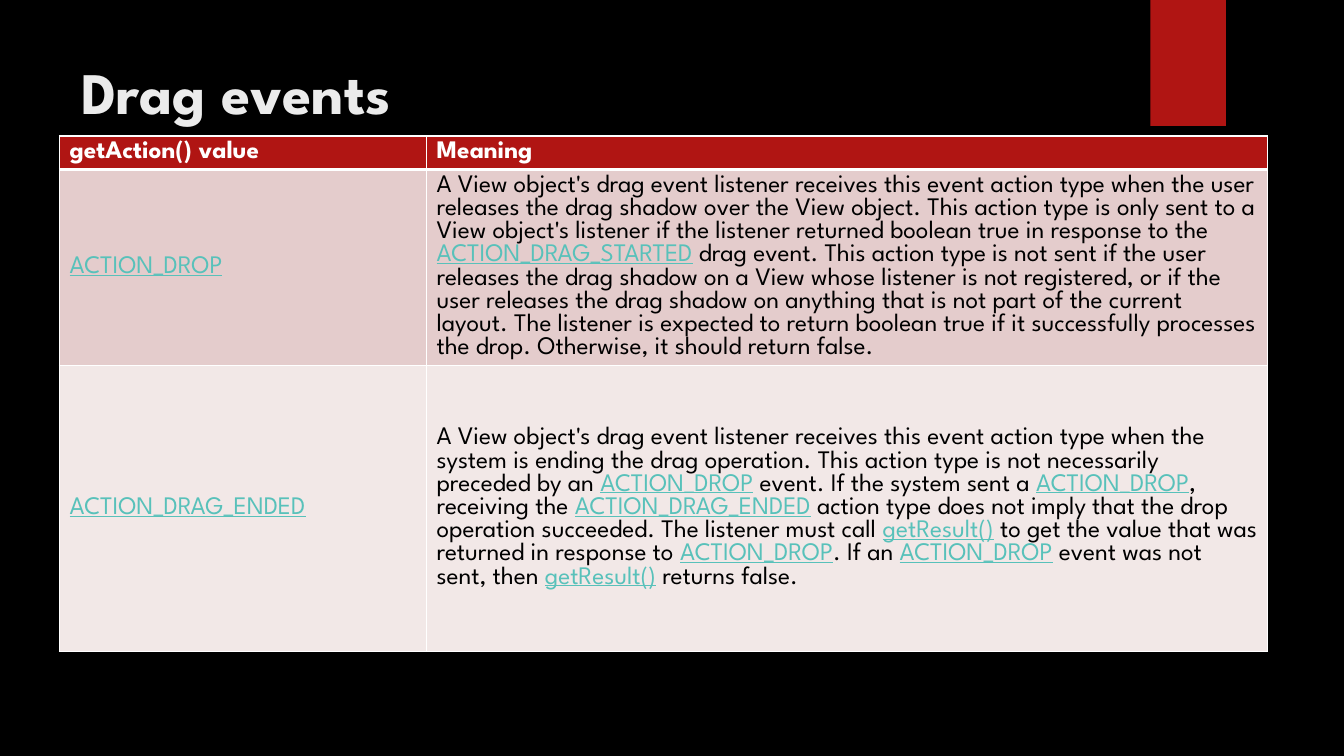
from dataclasses import dataclass

from lxml import etree
from pptx import Presentation
from pptx.dml.color import RGBColor
from pptx.enum.shapes import MSO_SHAPE
from pptx.enum.text import MSO_ANCHOR, PP_ALIGN
from pptx.oxml.ns import qn
from pptx.util import Inches, Pt

RECT = MSO_SHAPE.RECTANGLE
TOP, MIDDLE = MSO_ANCHOR.TOP, MSO_ANCHOR.MIDDLE
LEFT = PP_ALIGN.LEFT
WIDE, HIGH = Inches(13.33), Inches(7.5)


@dataclass(frozen=True)
class Theme:
    font: str = "League Spartan"
    title_size: int = 42
    body_size: int = 18
    back: str = "000000"
    accent: str = "B01513"
    title: str = "EBEBEB"
    head: str = "FFFFFF"
    body: str = "000000"
    link: str = "58C1BA"
    bands: tuple = ("E4CCCC", "F2E8E7")
    rule: str = "FFFFFF"
    thin: int = 1
    thick: int = 3


THEME = Theme()

# Text between bars is shown as a link.
HEAD = ("getAction() value", "Meaning")
EVENTS = (
    ("|ACTION_DROP|",
     "A View object's drag event listener receives this event action type "
     "when the user releases the drag shadow over the View object. This "
     "action type is only sent to a View object's listener if the listener "
     "returned boolean true in response to the |ACTION_DRAG_STARTED| drag "
     "event. This action type is not sent if the user releases the drag "
     "shadow on a View whose listener is not registered, or if the user "
     "releases the drag shadow on anything that is not part of the current "
     "layout. The listener is expected to return boolean true if it "
     "successfully processes the drop. Otherwise, it should return false."),
    ("|ACTION_DRAG_ENDED|",
     "A View object's drag event listener receives this event action type "
     "when the system is ending the drag operation. This action type is not "
     "necessarily preceded by an |ACTION_DROP| event. If the system sent a "
     "|ACTION_DROP|, receiving the |ACTION_DRAG_ENDED| action type does not "
     "imply that the drop operation succeeded. The listener must call "
     "|getResult()| to get the value that was returned in response to "
     "|ACTION_DROP|. If an |ACTION_DROP| event was not sent, then "
     "|getResult()| returns false."),
)
COLS = (3.64, 8.34)
ROWS = (0.25, 1.77, 2.84)


def paint(fill, color):
    fill.solid()
    fill.fore_color.rgb = RGBColor.from_string(color)


def add_run(para, text, size, color, bold=False, line=False):
    run = para.add_run()
    run.text = text
    font = run.font
    font.name, font.size = THEME.font, Pt(size)
    font.bold, font.underline = bold, line
    font.color.rgb = RGBColor.from_string(color)


def add_title(slide, text):
    title = slide.shapes.title
    title.left, title.top = Inches(0.71), Inches(0.5)
    title.width, title.height = Inches(10.29), Inches(0.8)
    frame = title.text_frame
    frame.word_wrap = True
    frame.vertical_anchor = TOP
    frame.margin_top = Inches(0.05)
    para = frame.paragraphs[0]
    para.alignment = LEFT
    add_run(para, text, THEME.title_size, THEME.title, bold=True)


def add_tab(slide):
    tab = slide.shapes.add_shape(
        RECT, Inches(11.41), 0, Inches(0.75), HIGH // 6)
    tab.shadow.inherit = False
    paint(tab.fill, THEME.accent)
    tab.line.fill.background()


def add_edge(cell, side, width):
    props = cell._tc.get_or_add_tcPr()
    edge = etree.SubElement(props, qn(f"a:ln{side}"), w=str(Pt(width)))
    fill = etree.SubElement(edge, qn("a:solidFill"))
    etree.SubElement(fill, qn("a:srgbClr"), val=THEME.rule)


def fill_cell(cell, row, text):
    top = THEME.thick if row == 1 else THEME.thin
    base = THEME.thick if row == 0 else THEME.thin
    for side, width in zip("LRTB", (THEME.thin, THEME.thin, top, base)):
        add_edge(cell, side, width)
    paint(cell.fill, THEME.bands[row - 1] if row else THEME.accent)
    cell.vertical_anchor = MIDDLE
    para = cell.text_frame.paragraphs[0]
    plain = THEME.body if row else THEME.head
    for spot, part in enumerate(text.split("|")):
        link = spot % 2 == 1
        if part:
            add_run(para, part, THEME.body_size,
                    THEME.link if link else plain,
                    bold=row == 0, line=link)


def add_grid(slide, data):
    table = slide.shapes.add_table(
        len(ROWS), len(COLS), Inches(0.59), Inches(1.35),
        Inches(sum(COLS)), Inches(sum(ROWS))).table
    for col, width in zip(table.columns, COLS):
        col.width = Inches(width)
    for row, height in zip(table.rows, ROWS):
        row.height = Inches(height)
    for row, texts in enumerate(data):
        for col, text in enumerate(texts):
            fill_cell(table.cell(row, col), row, text)


def main():
    deck = Presentation()
    deck.slide_width, deck.slide_height = WIDE, HIGH
    slide = deck.slides.add_slide(deck.slide_layouts[5])
    paint(slide.background.fill, THEME.back)
    add_tab(slide)
    add_title(slide, "Drag events")
    add_grid(slide, (HEAD, *EVENTS))
    deck.save("out.pptx")


if __name__ == "__main__":
    main()
